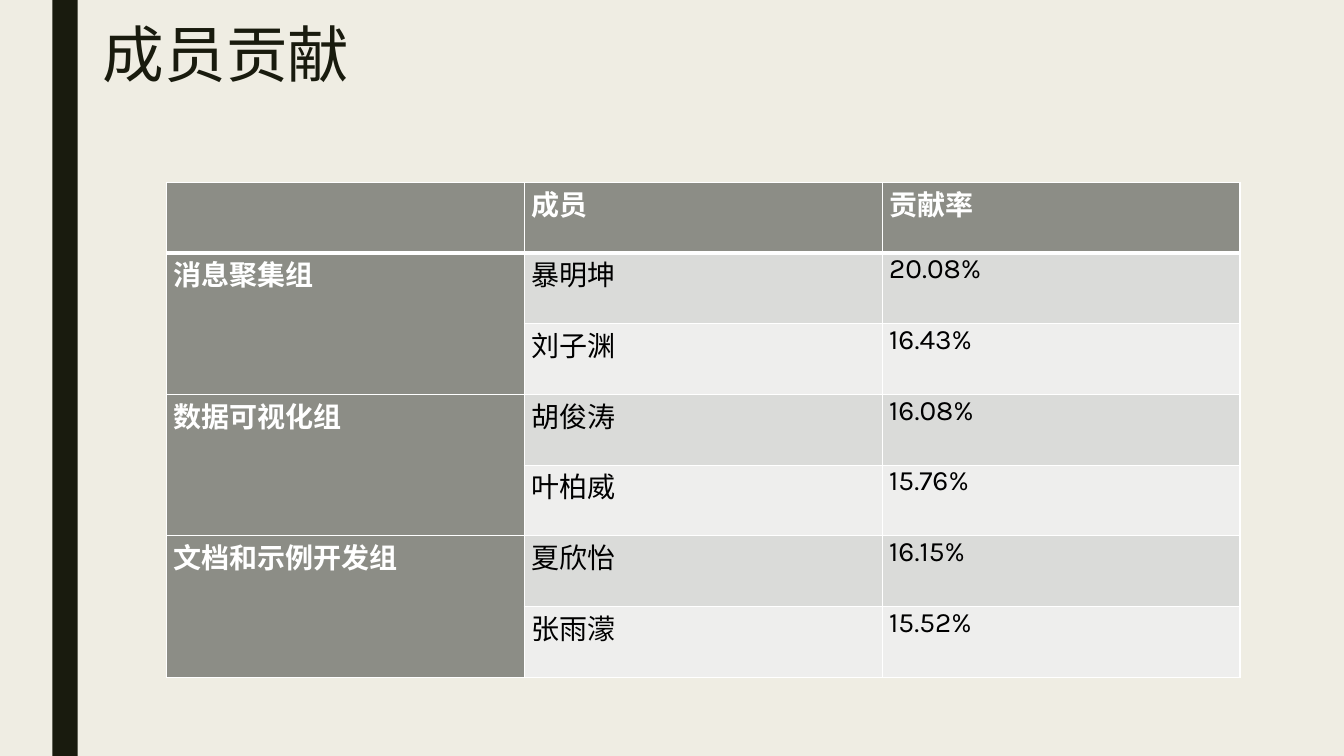
from dataclasses import dataclass
from pptx import Presentation
from pptx.dml.color import RGBColor as Rgb
from pptx.enum.shapes import MSO_SHAPE as Shape
from pptx.enum.text import MSO_ANCHOR as Anchor, PP_ALIGN as Align
from pptx.oxml.ns import qn
from pptx.util import Inches, Pt
from lxml.etree import SubElement as Sub


@dataclass(frozen=True)
class Theme:
    font: str = "Karla"
    back: str = "EFEDE3"
    dark: str = "191B0E"
    head: str = "8C8D86"
    bands: tuple = ("DADBD9", "EEEEED")
    ink: str = "000000"
    light: str = "FFFFFF"
    big: int = 44
    body: int = 20
    thin: int = 1
    thick: int = 3


class Deck:
    def __init__(self, theme):
        self.theme = theme
        self.show = Presentation()
        self.show.slide_width = Inches(13.33)
        self.show.slide_height = Inches(7.5)
        self.slide = self.show.slides.add_slide(self.show.slide_layouts[5])
        self.paint(self.slide.background.fill, theme.back)

    def paint(self, fill, color):
        fill.solid()
        fill.fore_color.rgb = Rgb.from_string(color)

    def place(self, *box):
        sides = (self.show.slide_width, self.show.slide_height) * 2
        return [round(side * part / 100) for side, part in zip(sides, box)]

    def style(self, para, size, color, bold=False):
        for run in para.runs:
            run.font.name = self.theme.font
            run.font.size = Pt(size)
            run.font.bold = bold
            run.font.color.rgb = Rgb.from_string(color)

    def bar(self, *box):
        bar = self.slide.shapes.add_shape(Shape.RECTANGLE, *self.place(*box))
        bar.shadow.inherit = False
        bar.line.fill.background()
        self.paint(bar.fill, self.theme.dark)

    def title(self, text, *box):
        title = self.slide.shapes.title
        title.left, title.top, title.width, title.height = self.place(*box)
        frame = title.text_frame
        frame.text = text
        frame.word_wrap = True
        frame.vertical_anchor = Anchor.TOP
        para = frame.paragraphs[0]
        para.alignment = Align.LEFT
        para.line_spacing = 0.89
        self.style(para, self.theme.big, self.theme.dark)

    def border(self, cell, row):
        props = cell._tc.get_or_add_tcPr()
        heavy = {0: "lnB", 1: "lnT"}.get(row)
        for tag in ("lnL", "lnR", "lnT", "lnB"):
            width = self.theme.thick if tag == heavy else self.theme.thin
            line = Sub(props, qn(f"a:{tag}"), w=str(Pt(width)))
            fill = Sub(line, qn("a:solidFill"))
            Sub(fill, qn("a:srgbClr"), val=self.theme.light)

    def cell(self, cell, text, row, col):
        theme = self.theme
        head = row == 0 or col == 0
        self.border(cell, row)
        self.paint(cell.fill, theme.head if head else theme.bands[(row - 1) % 2])
        cell.margin_left = cell.margin_right = Inches(0.07)
        cell.margin_top = cell.margin_bottom = 0
        cell.text_frame.text = text
        para = cell.text_frame.paragraphs[0]
        para.alignment = Align.JUSTIFY
        self.style(para, theme.body, theme.light if head else theme.ink, head)

    def table(self, rows, span, *box):
        grid = self.slide.shapes.add_table(len(rows), len(rows[0]), *self.place(*box)).table
        for row, texts in enumerate(rows):
            for col, text in enumerate(texts):
                self.cell(grid.cell(row, col), text, row, col)
        for row in range(1, len(rows), span):
            grid.cell(row, 0).merge(grid.cell(row + span - 1, 0))


def main():
    rows = [
        ("", "成员", "贡献率"),
        ("消息聚集组", "暴明坤", "20.08%"),
        ("", "刘子渊", "16.43%"),
        ("数据可视化组", "胡俊涛", "16.08%"),
        ("", "叶柏威", "15.76%"),
        ("文档和示例开发组", "夏欣怡", "16.15%"),
        ("", "张雨濛", "15.52%"),
    ]
    deck = Deck(Theme())
    deck.bar(3.9, 0, 1.88, 100)
    deck.title("成员贡献", 6.9, 2.67, 86.27, 19.33)
    deck.table(rows, 2, 12.38, 24.13, 79.89, 65.47)
    deck.show.save("out.pptx")


if __name__ == "__main__":
    main()
